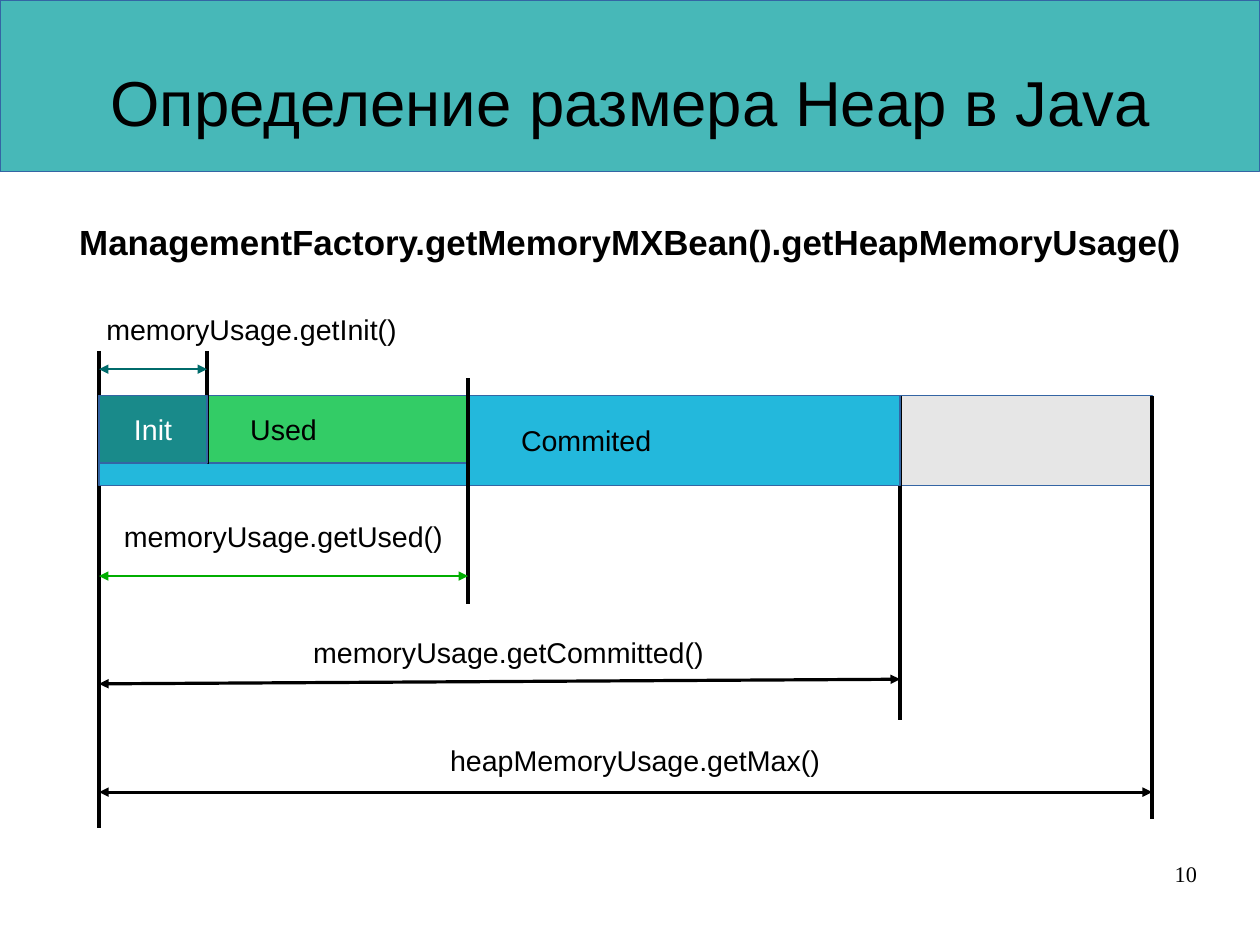
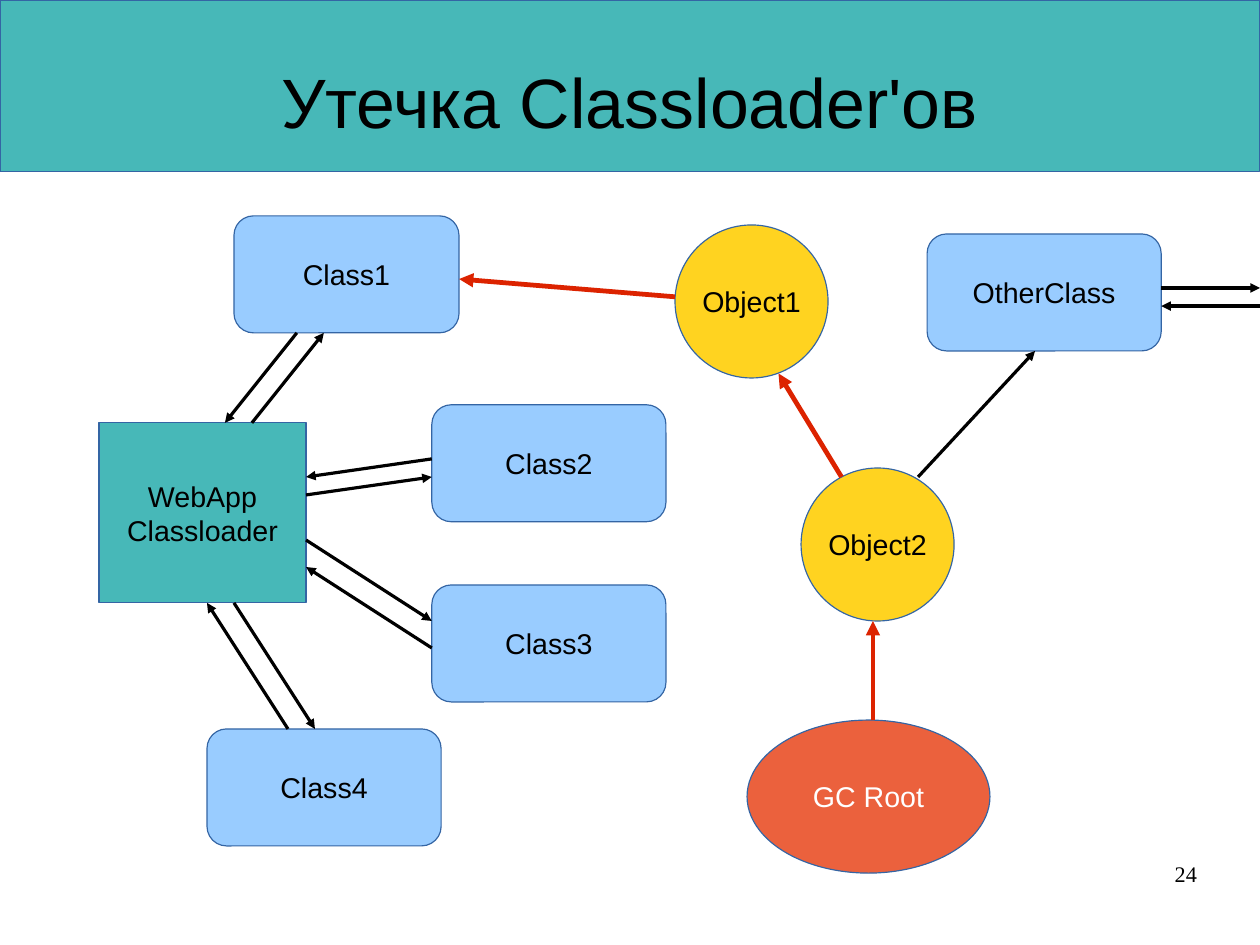
from dataclasses import dataclass

from lxml.etree import SubElement
from pptx import Presentation
from pptx.dml.color import RGBColor
from pptx.enum.shapes import MSO_CONNECTOR, MSO_SHAPE
from pptx.enum.text import MSO_ANCHOR, MSO_AUTO_SIZE, PP_ALIGN
from pptx.oxml.ns import qn
from pptx.util import Pt


# Colours, fonts and type sizes
@dataclass(frozen=True)
class Theme:
    black: str = "000000"
    white: str = "FFFFFF"
    edge: str = "3465A4"
    teal: str = "47B8B8"
    grey: str = "E6E6E6"
    cyan: str = "23B8DC"
    green: str = "33CC66"
    deep: str = "198A8A"
    leaf: str = "00AE00"
    pine: str = "006B6B"
    sky: str = "99CCFF"
    gold: str = "FFD320"
    coral: str = "EB613D"
    red: str = "DC2300"
    sans: str = "Arial"
    serif: str = "Times New Roman"
    head: int = 40
    large: int = 44
    lead: int = 22
    body: int = 18
    foot: int = 14
    thin: float = 0
    mid: float = 1
    thick: float = 3


WIDE, HIGH = 793.7, 595.3
SIDE = 39.7
BAND = 108


class Deck:
    def __init__(self, theme):
        self.theme = theme
        self.show = Presentation()
        self.show.slide_width, self.show.slide_height = Pt(WIDE), Pt(HIGH)
        self.layout = self.show.slide_layouts[5]
        self.slide = None

    def start(self, title, size, number):
        """Add a slide with its title and number."""
        first = self.slide is None
        self.slide = self.show.slides.add_slide(self.layout)
        if first:
            # The band goes behind everything, on the shared layout
            band = self.shape(MSO_SHAPE.RECTANGLE, (0, 0, WIDE, BAND), self.theme.teal)
            self.layout.shapes.element.insert(2, band.element)
        head = self.slide.shapes.title
        self.place(head, (SIDE, 13.7, WIDE - 2 * SIDE, 99.4))
        self.fill(head.text_frame, title, size)
        self.text(number, (569, 542.2, 185, 41), self.theme.foot,
                  align=PP_ALIGN.RIGHT, anchor=MSO_ANCHOR.TOP, font=self.theme.serif)

    def place(self, shape, box):
        shape.left, shape.top, shape.width, shape.height = map(Pt, box)

    def fill(self, frame, text, size, colour=None, bold=False, align=PP_ALIGN.CENTER,
             anchor=MSO_ANCHOR.MIDDLE, font=None, indent=0):
        """Set the text of a frame, one paragraph a line."""
        frame.word_wrap = True
        frame.auto_size = MSO_AUTO_SIZE.NONE
        frame.vertical_anchor = anchor
        frame.margin_left = Pt(indent)
        frame.margin_right = frame.margin_top = frame.margin_bottom = 0
        for i, line in enumerate(text.split("\n")):
            para = frame.add_paragraph() if i else frame.paragraphs[0]
            para.alignment = align
            run = para.add_run()
            run.text = line
            run.font.name = font or self.theme.sans
            run.font.size = Pt(size)
            run.font.bold = bold
            run.font.color.rgb = RGBColor.from_string(colour or self.theme.black)

    def text(self, text, box, size, **style):
        frame = self.slide.shapes.add_textbox(*map(Pt, box)).text_frame
        self.fill(frame, text, size, **style)

    def label(self, text, x, y):
        """Put a one-line label with its centre at x, y."""
        wide, high = 270, 40
        self.text(text, (x - wide / 2, y - high / 2, wide, high), self.theme.body)

    def shape(self, kind, box, fill, text="", **style):
        shape = self.slide.shapes.add_shape(kind, *map(Pt, box))
        shape.shadow.inherit = False
        shape.fill.solid()
        shape.fill.fore_color.rgb = RGBColor.from_string(fill)
        shape.line.color.rgb = RGBColor.from_string(self.theme.edge)
        shape.line.width = Pt(self.theme.thin)
        if text:
            self.fill(shape.text_frame, text, self.theme.body, **style)
        return shape

    def line(self, x1, y1, x2, y2, colour=None, width=None, ends=()):
        """Draw a line; ends may hold headEnd and tailEnd, in that order."""
        line = self.slide.shapes.add_connector(
            MSO_CONNECTOR.STRAIGHT, *map(Pt, (x1, y1, x2, y2)))
        line.line.color.rgb = RGBColor.from_string(colour or self.theme.black)
        line.line.width = Pt(self.theme.thin if width is None else width)
        props = line.element.spPr
        for end in ends:
            SubElement(props.find(qn("a:ln")), qn("a:" + end), type="triangle")
        SubElement(props, qn("a:effectLst"))

    def arrow(self, x1, y1, x2, y2, **style):
        self.line(x1, y1, x2, y2, ends=("tailEnd",), **style)

    def span(self, x1, y1, x2, y2, **style):
        self.line(x1, y1, x2, y2, ends=("headEnd", "tailEnd"), **style)


theme = Theme()
deck = Deck(theme)
RECT, ROUND, OVAL = MSO_SHAPE.RECTANGLE, MSO_SHAPE.ROUNDED_RECTANGLE, MSO_SHAPE.OVAL

# Slide 1: heap size
deck.start("Определение размера Heap в Java", theme.head, "10")
deck.text("ManagementFactory.getMemoryMXBean().getHeapMemoryUsage()",
          (SIDE, 139, WIDE - 2 * SIDE, 40), theme.lead, bold=True, anchor=MSO_ANCHOR.TOP)

# Memory bar edges
left, init, used, commit, full = 62.4, 130.4, 294.8, 567, 725.7
top, tall, low = 249.2, 56.7, 42.5

# Spare part and the guides behind the bar
deck.shape(RECT, (commit, top, full - commit, tall), theme.grey)
for x, y1, y2 in [(commit, top, 453.6), (full, top, 516.2), (left, 221, 521.3)]:
    deck.line(x, y1, x, y2)

# Parts in use and the guides in front
deck.shape(RECT, (left, top, commit - left, tall), theme.cyan, "Commited", indent=109)
deck.shape(RECT, (left, top, used - left, low), theme.green, "Used")
deck.line(used, 238.3, used, 380.2)
deck.line(init, 221, init, 292.3)
deck.shape(RECT, (left, top, init - left, low), theme.deep, "Init", colour=theme.white)

# Measures
deck.span(left, 232.6, init, 232.6, colour=theme.pine, width=theme.mid)
deck.span(left, 362.9, used, 362.9, colour=theme.leaf, width=theme.mid)
deck.span(commit, 427.9, left, 430.8)
deck.span(left, 499, full, 499)
for name, x, y in [("memoryUsage.getInit()", 158.5, 207),
                   ("memoryUsage.getUsed()", 178.5, 337.5),
                   ("memoryUsage.getCommitted()", 320.3, 411),
                   ("heapMemoryUsage.getMax()", 400, 479)]:
    deck.label(name, x, y)

# Slide 2: leak of class loaders
deck.start("Утечка Classloader'ов", theme.large, "24")

# Loader and classes
deck.shape(RECT, (62.4, 266.4, 130.4, 113.4), theme.teal, "WebApp\nClassloader")
for name, x, y, wide in [("Class1", 147.4, 136, 141.8),
                         ("Class2", 272, 255, 147.5),
                         ("Class3", 272, 368.5, 147.5),
                         ("Class4", 130.4, 459.2, 147.5),
                         ("OtherClass", 584, 147.4, 147.5)]:
    deck.shape(ROUND, (x, y, wide, 73.7), theme.sky, name)

# Objects and root
ball = 96.4
deck.shape(OVAL, (425.2, 141.7, ball, ball), theme.gold, "Object1")
deck.shape(OVAL, (504.6, 294.8, ball, ball), theme.gold, "Object2")
deck.shape(OVAL, (470.6, 453.6, 153, ball), theme.coral, "GC Root", colour=theme.white)

# Plain references: loader to class and back, then the other class
for ends in [(158.7, 266.4, 204, 209.7), (187, 209.7, 141.7, 266.4),
             (192.8, 311.8, 272, 300.5), (272, 289.1, 192.8, 300.5),
             (192.8, 340.2, 272, 391.2), (272, 408.2, 192.8, 357.2),
             (147.4, 379.8, 198.4, 459.2), (181.4, 459.2, 130.4, 379.8),
             (578.3, 300.5, 652, 221.1),
             (731.5, 181.4, WIDE, 181.4), (WIDE, 192.8, 731.5, 192.8)]:
    deck.arrow(*ends)

# Path of the leak
for ends in [(549.9, 453.6, 549.9, 391.2), (530.1, 300.5, 490.4, 235.3),
             (425.2, 187, 289.2, 175.8)]:
    deck.arrow(*ends, colour=theme.red, width=theme.thick)

deck.show.save("out.pptx")
